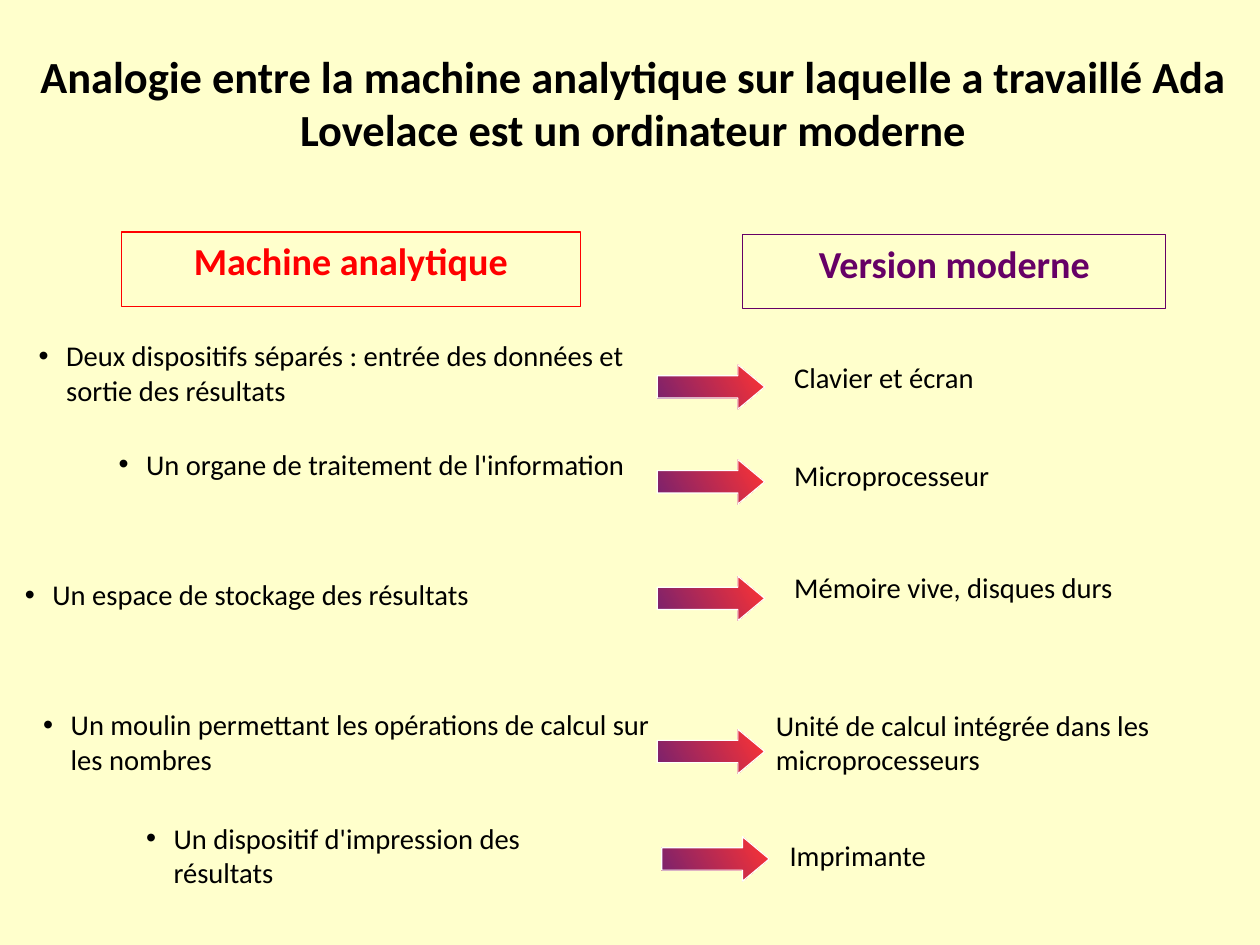
from lxml import etree
from pptx import Presentation
from pptx import util as u
from pptx.dml.color import RGBColor
from pptx.enum import shapes, text
from pptx.oxml import ns

CREAM = RGBColor(0xFF, 0xFF, 0xCC)
BLACK = RGBColor(0, 0, 0)
WHITE = RGBColor(0xFF, 0xFF, 0xFF)
RED = RGBColor(0xFF, 0, 0)
PURPLE = RGBColor(0x66, 0, 0x66)
ARROW_RED = RGBColor(0xFF, 0x33, 0x33)
ARROW_PURPLE = RGBColor(0x77, 0x21, 0x6F)


def write(shape, words, size=18, color=BLACK, bold=False, align=text.PP_ALIGN.LEFT,
          anchor=text.MSO_ANCHOR.TOP, bullet=False):
    frame = shape.text_frame
    frame.word_wrap = True
    frame.auto_size = text.MSO_AUTO_SIZE.NONE
    frame.vertical_anchor = anchor
    frame.text = words
    paragraph = frame.paragraphs[0]
    paragraph.alignment = align
    if bullet:
        properties = paragraph._p.get_or_add_pPr()
        properties.set("marL", str(u.Inches(0.24)))
        properties.set("indent", str(-u.Inches(0.24)))
        etree.SubElement(properties, ns.qn("a:buFont")).set("typeface", "Arial")
        etree.SubElement(properties, ns.qn("a:buChar")).set("char", "•")
    font = paragraph.runs[0].font
    font.name, font.size, font.bold = "Calibri", u.Pt(size), bold
    font.color.rgb = color


def inches(*lengths):
    return [u.Inches(length) for length in lengths]


# The page is 28 by 21 centimetres
presentation = Presentation()
presentation.slide_width, presentation.slide_height = u.Cm(28), u.Cm(21)
slide = presentation.slides.add_slide(presentation.slide_layouts[5])
slide.background.fill.solid()
slide.background.fill.fore_color.rgb = CREAM

# Title
title = slide.shapes.title
title.left, title.top, title.width, title.height = inches(0.12, -0.06, 10.83, 1.91)
frame = title.text_frame
frame.margin_left = frame.margin_right = frame.margin_top = frame.margin_bottom = 0
write(title, "Analogie entre la machine analytique sur laquelle a travaillé "
      "Ada Lovelace est un ordinateur moderne", size=28, bold=True,
      align=text.PP_ALIGN.CENTER, anchor=text.MSO_ANCHOR.MIDDLE)

# Column headings
headings = [
    ("Machine analytique", RED, (1.06, 2.03, 4.02, 0.65)),
    ("Version moderne", PURPLE, (6.5, 2.05, 3.7, 0.65)),
]
for words, color, box in headings:
    heading = slide.shapes.add_shape(shapes.MSO_SHAPE.RECTANGLE, *inches(*box))
    heading.shadow.inherit = False
    heading.fill.background()
    heading.line.color.rgb = color
    heading.line.width = u.Pt(0)
    write(heading, words, size=24, color=color, bold=True, align=text.PP_ALIGN.CENTER)

# Each row: old part and its box, arrow position, modern part and its box
rows = [
    ("Deux dispositifs séparés\u00a0: entrée des données et sortie des résultats",
     (0.24, 2.91, 5.51, 0.9), (5.75, 3.19),
     "Clavier et écran", (6.85, 3.1, 2.99, 0.8)),
    ("Un organe de traitement de l'information",
     (0.94, 3.86, 5.43, 0.94), (5.75, 4.02),
     "Microprocesseur", (6.85, 3.96, 2.68, 0.53)),
    ("Un espace de stockage des résultats",
     (0.12, 5, 5.83, 0.94), (5.75, 5.04),
     "Mémoire vive, disques durs", (6.85, 4.94, 4.17, 0.69)),
    ("Un moulin permettant les opérations de calcul sur les nombres",
     (0.28, 6.14, 5.51, 0.9), (5.75, 6.38),
     "Unité de calcul intégrée dans les microprocesseurs", (6.69, 6.14, 4.17, 0.98)),
    ("Un dispositif d'impression des résultats",
     (1.18, 7.13, 4.37, 0.9), (5.79, 7.32),
     "Imprimante", (6.81, 7.28, 1.93, 0.55)),
]
for old_part, old_box, arrow_corner, modern_part, modern_box in rows:
    write(slide.shapes.add_textbox(*inches(*old_box)), old_part, bullet=True)
    write(slide.shapes.add_textbox(*inches(*modern_box)), modern_part)

    arrow = slide.shapes.add_shape(shapes.MSO_SHAPE.RIGHT_ARROW,
                                   *inches(*arrow_corner, 0.94, 0.39))
    arrow.shadow.inherit = False
    arrow.adjustments[0], arrow.adjustments[1] = 0.5, 0.6
    arrow.fill.gradient()
    arrow.fill.gradient_angle = 210
    for stop, position, color in zip(arrow.fill.gradient_stops, (0, 1),
                                     (ARROW_RED, ARROW_PURPLE)):
        stop.position = position
        stop.color.rgb = color
    arrow.line.color.rgb = WHITE
    arrow.line.width = u.Pt(0)

presentation.save("out.pptx")
